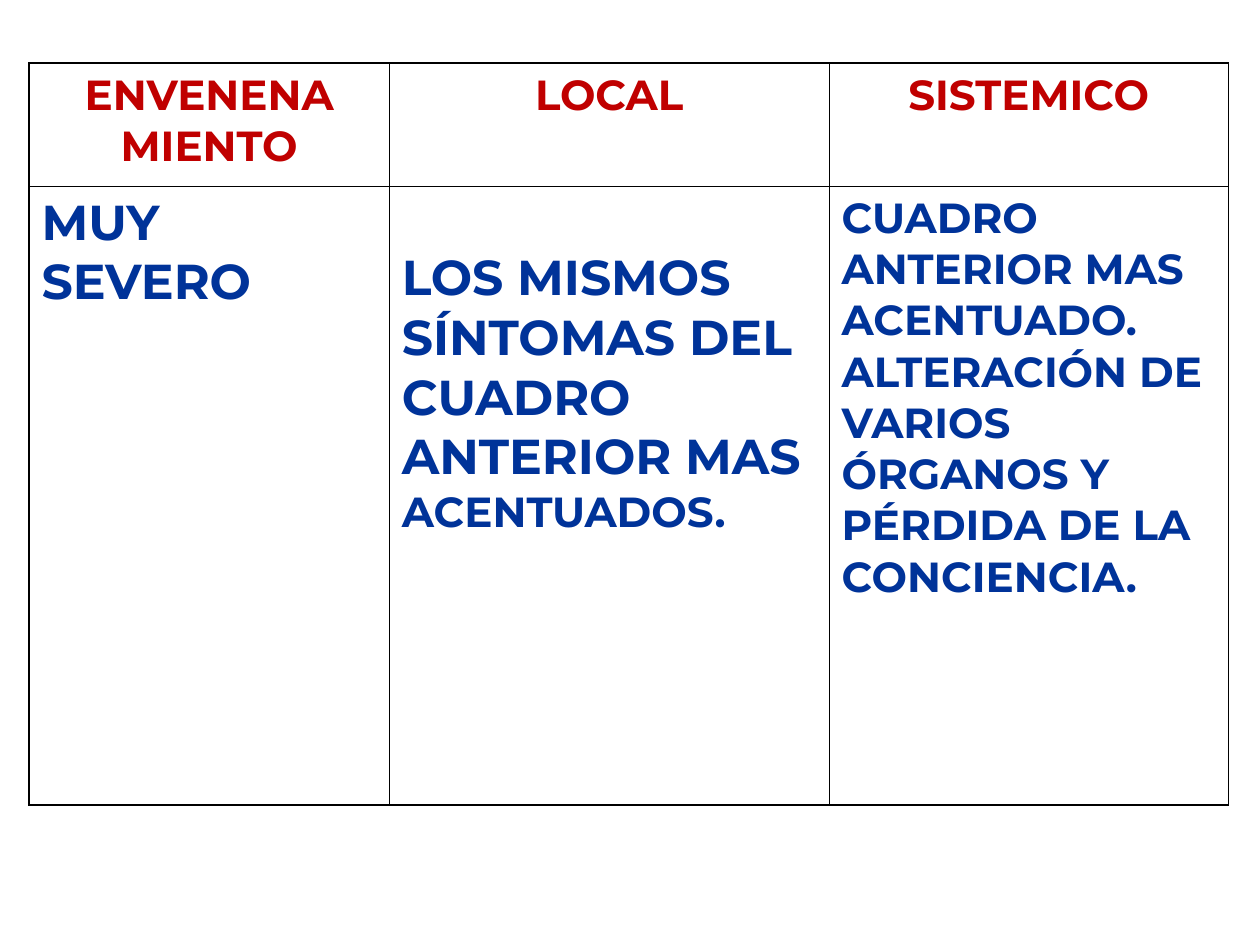
from dataclasses import dataclass

from lxml import etree
from pptx import Presentation
from pptx.dml.color import RGBColor
from pptx.enum.text import PP_ALIGN
from pptx.oxml.ns import qn
from pptx.util import Inches, Pt

CENTER, LEFT = PP_ALIGN.CENTER, PP_ALIGN.LEFT


@dataclass(frozen=True)
class Theme:
    font: str = "Montserrat"
    heading: str = "C00000"
    body: str = "003399"
    border: str = "000000"
    normal: float = 24
    large: float = 28
    outer_line: float = 1.08
    inner_line: float = 0.45


@dataclass(frozen=True)
class Run:
    text: str
    size: float


@dataclass(frozen=True)
class CellText:
    paragraphs: tuple[tuple[Run, ...], ...]
    color: str
    align: PP_ALIGN = LEFT
    top: float = 0.05


THEME = Theme()
COLUMN_WIDTHS = (2.86, 3.49, 3.17)
ROW_HEIGHTS = (0.98, 4.91)


def heading(*lines: str) -> CellText:
    return CellText(tuple((Run(line, THEME.normal),) for line in lines), THEME.heading, CENTER)


def body(*runs: Run, top: float = 0.05) -> CellText:
    return CellText((runs,), THEME.body, top=top)


ROWS = (
    (heading("ENVENENA", "MIENTO"), heading("LOCAL"), heading("SISTEMICO")),
    (
        body(Run("MUY SEVERO", THEME.large)),
        body(
            Run("LOS MISMOS SÍNTOMAS DEL CUADRO ANTERIOR MAS ", THEME.large),
            Run("ACENTUADOS.", THEME.normal),
            top=0.49,
        ),
        CellText(
            (
                (Run("CUADRO ANTERIOR MAS ACENTUADO.", THEME.normal),),
                (Run("ALTERACIÓN DE VARIOS ÓRGANOS Y PÉRDIDA DE LA CONCIENCIA.", THEME.normal),),
            ),
            THEME.body,
        ),
    ),
)


def write_cell(cell, content: CellText) -> None:
    cell.margin_left = cell.margin_right = Inches(0.1)
    cell.margin_top, cell.margin_bottom = Inches(content.top), Inches(0.05)
    tf = cell.text_frame
    for i, runs in enumerate(content.paragraphs):
        p = tf.paragraphs[0] if i == 0 else tf.add_paragraph()
        p.alignment = content.align
        for run in runs:
            r = p.add_run()
            r.text = run.text
            r.font.name, r.font.size, r.font.bold = THEME.font, Pt(run.size), True
            r.font.color.rgb = RGBColor.from_string(content.color)


def set_borders(cell, outer_sides: dict[str, bool]) -> None:
    """Draw the four sides, heavier where a side is on the table's edge."""
    tc_pr = cell._tc.get_or_add_tcPr()
    for side, outer in outer_sides.items():
        width = Pt(THEME.outer_line if outer else THEME.inner_line)
        ln = etree.SubElement(tc_pr, qn(f"a:ln{side}"), w=str(int(width)))
        fill = etree.SubElement(ln, qn("a:solidFill"))
        etree.SubElement(fill, qn("a:srgbClr"), val=THEME.border)


def add_symptom_table(slide) -> None:
    table = slide.shapes.add_table(
        len(ROWS), len(COLUMN_WIDTHS), Inches(0.23), Inches(0.5),
        Inches(sum(COLUMN_WIDTHS)), Inches(sum(ROW_HEIGHTS)),
    ).table
    table.first_row = table.horz_banding = False
    for column, width in zip(table.columns, COLUMN_WIDTHS):
        column.width = Inches(width)
    for row, height in zip(table.rows, ROW_HEIGHTS):
        row.height = Inches(height)
    last_row, last_column = len(ROWS) - 1, len(COLUMN_WIDTHS) - 1
    for i, row in enumerate(ROWS):
        for j, content in enumerate(row):
            cell = table.cell(i, j)
            write_cell(cell, content)
            set_borders(cell, {"L": j == 0, "R": j == last_column, "T": i == 0, "B": i == last_row})
            cell.fill.background()


def main() -> None:
    prs = Presentation()
    prs.slide_width, prs.slide_height = Inches(10), Inches(7.5)
    slide = prs.slides.add_slide(prs.slide_layouts[6])
    add_symptom_table(slide)
    prs.save("out.pptx")


if __name__ == "__main__":
    main()
